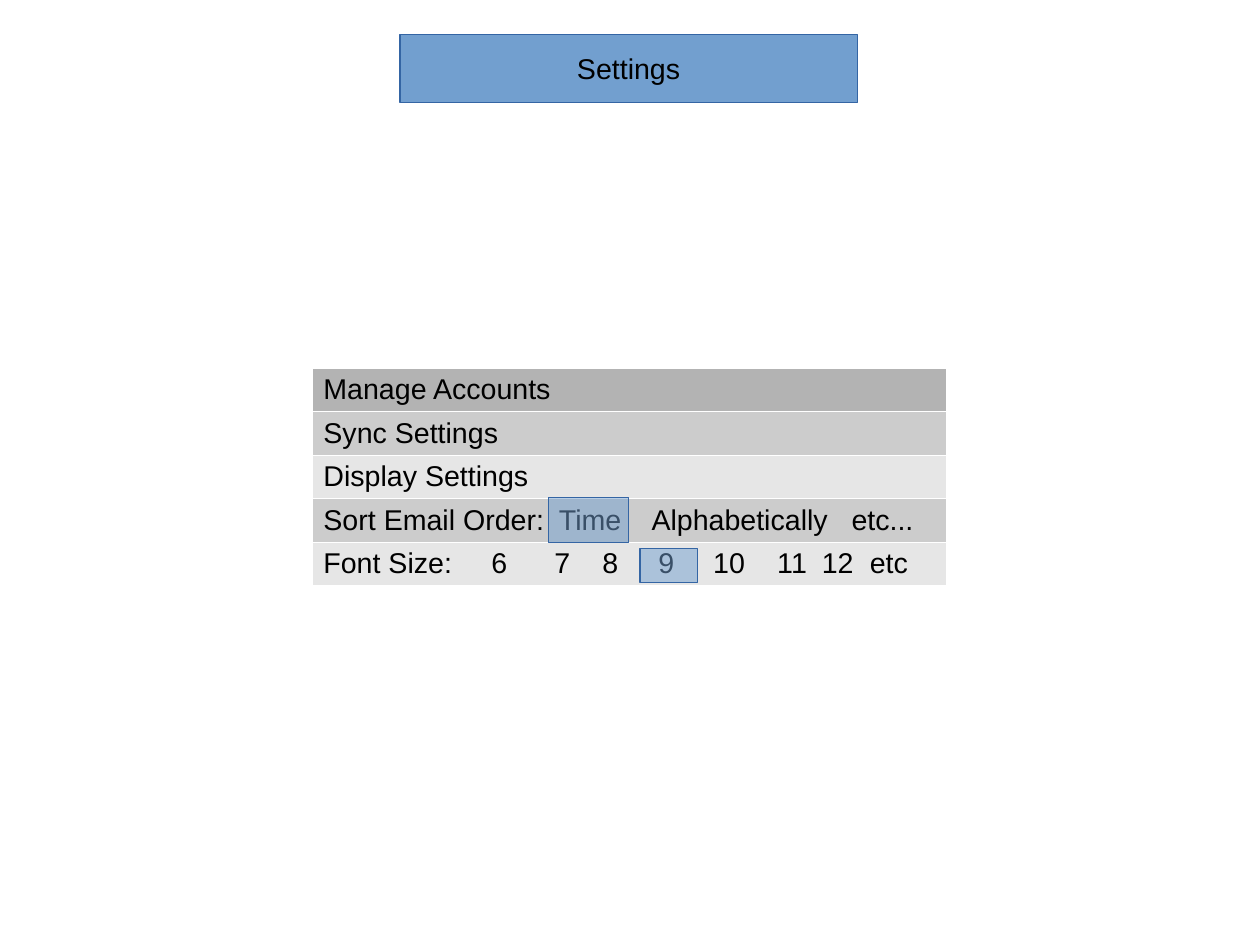
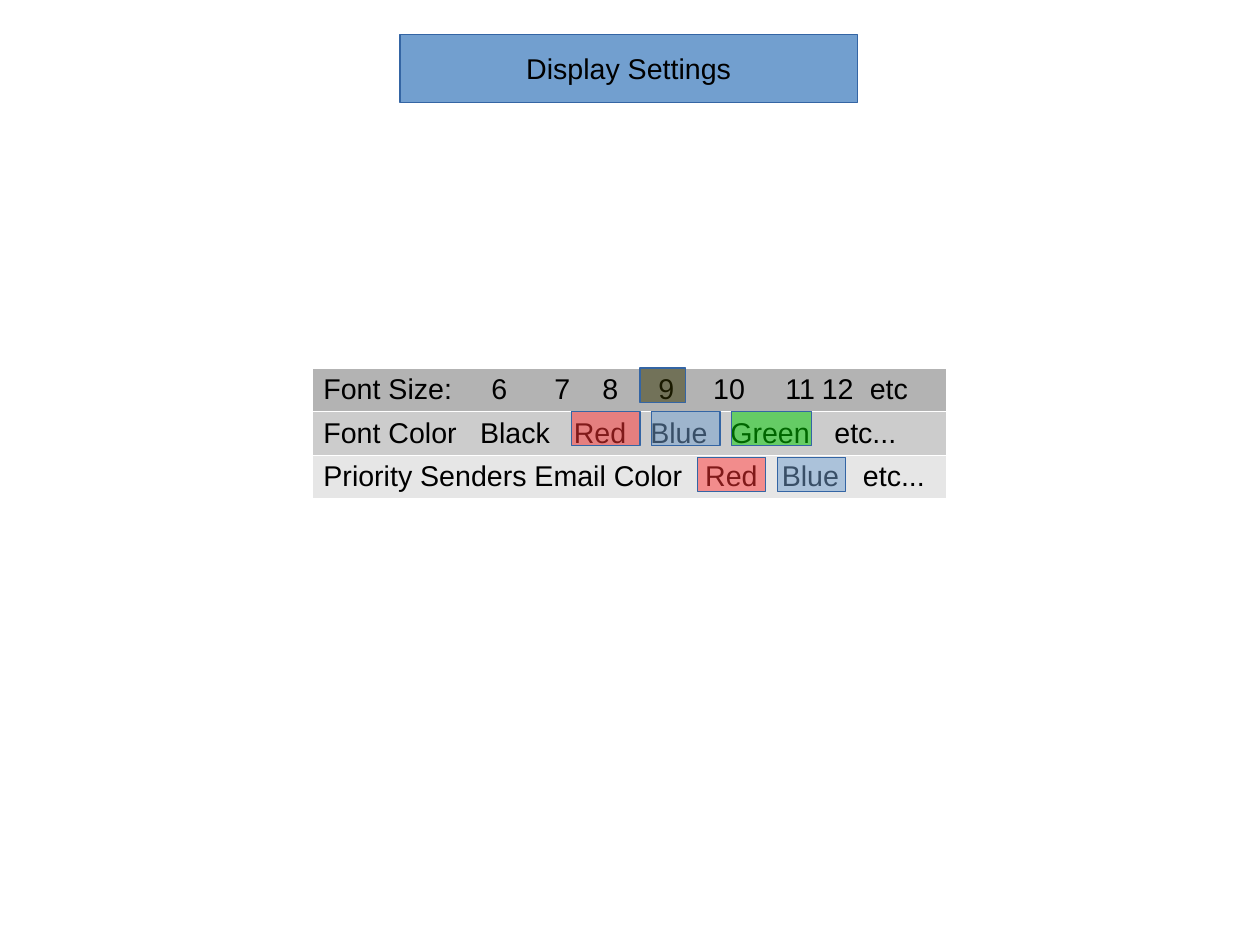
from dataclasses import dataclass

from lxml.etree import SubElement as Sub
from pptx import Presentation
from pptx.dml.color import RGBColor as Color
from pptx.enum.shapes import MSO_SHAPE as Shape
from pptx.enum.text import MSO_ANCHOR as Anchor, PP_ALIGN as Align
from pptx.oxml import parse_xml
from pptx.oxml.ns import nsdecls, qn
from pptx.util import Inches, Pt

# Shared look
HUES = {
    "blue": "729FCF", "edge": "3465A4", "red": "FF3333", "green": "00CC00",
    "olive": "333300", "black": "000000", "white": "FFFFFF",
    "head": "B3B3B3", "dark": "CCCCCC", "light": "E6E6E6",
}
FONT, SIZE = "Arial", 18
LEFT, TOP, WIDTH, ROW = 2.73, 3.22, 5.55, 0.38
# The page measures 28 by 21 cm
WIDE, HIGH = 28 / 2.54, 21 / 2.54


@dataclass(frozen=True)
class Row:
    text: str
    tabs: tuple[float, ...] = ()


@dataclass(frozen=True)
class Mark:
    left: float
    top: float
    width: float
    height: float = 0.3
    hue: str = "blue"


@dataclass(frozen=True)
class Page:
    title: str
    rows: tuple[Row, ...]
    marks: tuple[Mark, ...]


PAGES = (
    Page("Settings", (
        Row("Manage Accounts"),
        Row("Sync Settings"),
        Row("Display Settings"),
        Row("Sort Email Order:\tTime\tAlphabetically\tetc...", (2.06, 2.87, 4.62)),
        Row("Font Size:\t6\t7\t8\t9\t10\t11\t12\tetc",
            (1.47, 2.02, 2.44, 2.93, 3.41, 3.97, 4.36, 4.78)),
    ), (
        Mark(4.8, 4.35, 0.7, 0.4),
        Mark(5.6, 4.8, 0.5),
    )),
    Page("Display Settings", (
        Row("Font Size:\t6\t7\t8\t9\t10\t11\t12\tetc",
            (1.47, 2.02, 2.44, 2.93, 3.41, 4.04, 4.36, 4.78)),
        Row("Font Color\tBlack\tRed\tBlue\tGreen\tetc...",
            (1.37, 2.19, 2.86, 3.56, 4.47)),
        Row("Priority Senders Email Color\tRed\tBlue\tetc...", (3.34, 4.01, 4.72)),
    ), (
        Mark(6.8, 4, 0.6),
        Mark(6.1, 4, 0.6, hue="red"),
        Mark(5, 3.6, 0.6, hue="red"),
        Mark(5.7, 3.6, 0.6),
        Mark(6.4, 3.6, 0.7, hue="green"),
        Mark(5.6, TOP, 0.4, hue="olive"),
    )),
)


def paint(fill, hue: str) -> None:
    fill.solid()
    fill.fore_color.rgb = Color.from_string(HUES[hue])


def style(para) -> None:
    for run in para.runs:
        run.font.name, run.font.size, run.font.bold = FONT, Pt(SIZE), False
        run.font.color.rgb = Color.from_string(HUES["black"])


def add_box(slide, mark: Mark):
    box = slide.shapes.add_shape(
        Shape.RECTANGLE, Inches(mark.left), Inches(mark.top),
        Inches(mark.width), Inches(mark.height))
    box.shadow.inherit = False
    paint(box.fill, mark.hue)
    paint(box.line.fill, "edge")
    box.line.width = Pt(0)
    return box


def add_title(slide, text: str) -> None:
    box = add_box(slide, Mark(3.5, 0.3, 4, 0.6))
    frame = box.text_frame
    frame.text = text
    frame.word_wrap = False
    frame.vertical_anchor = Anchor.MIDDLE
    para = frame.paragraphs[0]
    para.alignment = Align.CENTER
    style(para)


def add_mark(slide, mark: Mark) -> None:
    box = add_box(slide, mark)
    # Half transparent, so the choice beneath shows through
    tint = box.fill._xPr.find(qn("a:solidFill"))[0]
    Sub(tint, qn("a:alpha"), val="50000")


def set_tabs(para, tabs: tuple[float, ...]) -> None:
    stops = Sub(para._p.get_or_add_pPr(), qn("a:tabLst"))
    for tab in tabs:
        Sub(stops, qn("a:tab"), pos=str(Inches(tab)), algn="l")


def set_edges(cell) -> None:
    props = cell._tc.get_or_add_tcPr()
    for spot, side in enumerate("LRTB"):
        props.insert(spot, parse_xml(
            f'<a:ln{side} {nsdecls("a")} w="{Pt(0.06)}"><a:solidFill>'
            f'<a:srgbClr val="{HUES["white"]}"/></a:solidFill></a:ln{side}>'))


def add_list(slide, rows: tuple[Row, ...]) -> None:
    table = slide.shapes.add_table(
        len(rows), 1, Inches(LEFT), Inches(TOP),
        Inches(WIDTH), Inches(ROW * len(rows))).table
    table.first_row = table.horz_banding = False
    for num, row in enumerate(rows):
        table.rows[num].height = Inches(ROW)
        cell = table.cell(num, 0)
        cell.text_frame.text = row.text
        para = cell.text_frame.paragraphs[0]
        style(para)
        if row.tabs:
            set_tabs(para, row.tabs)
        # Grey head, then dark and light in turn
        paint(cell.fill, "head" if num == 0 else ("light", "dark")[num % 2])
        set_edges(cell)


def main() -> None:
    deck = Presentation()
    deck.slide_width, deck.slide_height = Inches(WIDE), Inches(HIGH)
    for page in PAGES:
        slide = deck.slides.add_slide(deck.slide_layouts[6])
        add_title(slide, page.title)
        add_list(slide, page.rows)
        for mark in page.marks:
            add_mark(slide, mark)
    deck.save("out.pptx")


if __name__ == "__main__":
    main()
